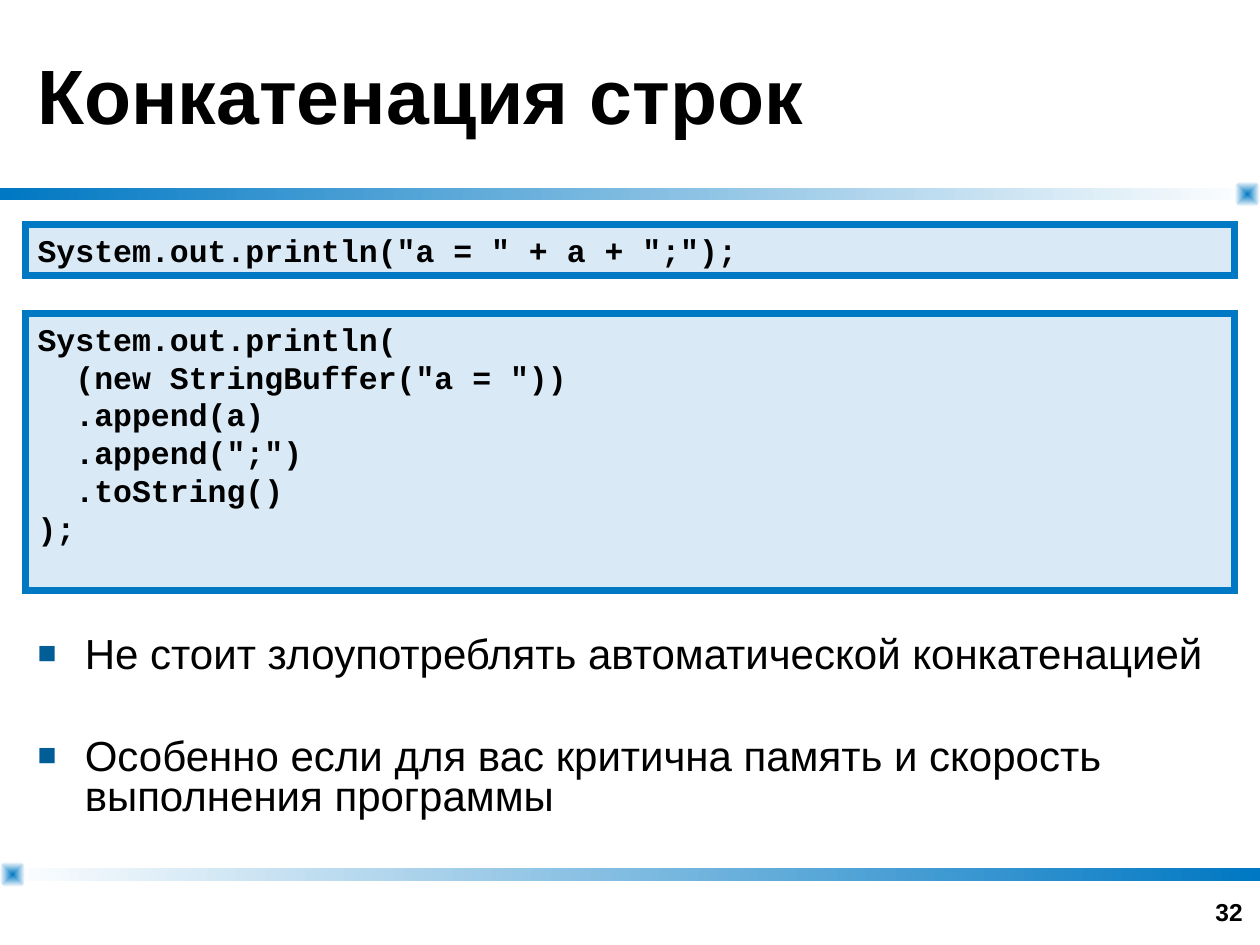
from typing import NamedTuple

from lxml import etree
from pptx import Presentation
from pptx import util as u
from pptx.dml.color import RGBColor
from pptx.enum import shapes, text
from pptx.oxml import ns

BLUE = "0078C3"
WHITE = "FFFFFF"
BLACK = "000000"
BULLET_BLUE = "005D96"


class Box(NamedTuple):
    left: float
    top: float
    width: float
    height: float

    def lengths(self) -> list:
        return [u.Pt(value) for value in self]


class Rule(NamedTuple):
    bar_top: float
    start: str
    end: str
    knob_left: float


class CodeBlock(NamedTuple):
    box: Box
    lines: list


SLIDE_WIDTH, SLIDE_HEIGHT = 720, 540
MARGIN = 14.4
CONTENT_WIDTH = SLIDE_WIDTH - 2 * MARGIN
BAR_HEIGHT = 7.2
KNOB_SIZE = 14.4

RULES = [
    Rule(107.28, BLUE, WHITE, SLIDE_WIDTH - KNOB_SIZE),
    Rule(496.08, WHITE, BLUE, 0),
]
CODE_BLOCKS = [
    CodeBlock(Box(MARGIN, 128.2, CONTENT_WIDTH, 29),
              ['System.out.println("a = " + a + ";");']),
    CodeBlock(Box(MARGIN, 179.2, CONTENT_WIDTH, 158.5), [
        "System.out.println(",
        '  (new StringBuffer("a = "))',
        "  .append(a)",
        '  .append(";")',
        "  .toString()",
        ");",
    ]),
]
BULLETS = [
    "Не стоит злоупотреблять автоматической конкатенацией",
    "Особенно если для вас критична память и скорость выполнения программы",
]


def colour(value: str) -> RGBColor:
    return RGBColor.from_string(value)


def add_child(parent, tag: str, **attributes: str):
    return etree.SubElement(parent, ns.qn(tag), attributes)


def add_gradient(slide, kind, box: Box, start: str, end: str):
    shape = slide.shapes.add_shape(kind, *box.lengths())
    shape.shadow.inherit = False
    shape.line.fill.background()
    shape.fill.gradient()
    shape.fill.gradient_angle = 0
    for stop, value in zip(shape.fill.gradient_stops, (start, end)):
        stop.color.rgb = colour(value)
    return shape


def add_rule(slide, rule: Rule) -> None:
    add_gradient(slide, shapes.MSO_SHAPE.RECTANGLE,
                 Box(0, rule.bar_top, SLIDE_WIDTH, BAR_HEIGHT), rule.start, rule.end)
    knob_top = rule.bar_top + (BAR_HEIGHT - KNOB_SIZE) / 2
    knob = add_gradient(slide, shapes.MSO_SHAPE.ROUNDED_RECTANGLE,
                        Box(rule.knob_left, knob_top, KNOB_SIZE, KNOB_SIZE), BLUE, WHITE)
    knob.adjustments[0] = 0.32
    linear = next(knob._element.spPr.iter(ns.qn("a:lin")))
    gradient = linear.getparent()
    gradient.remove(linear)
    centre = add_child(gradient, "a:path", path="rect")
    add_child(centre, "a:fillToRect", l="50000", t="50000", r="50000", b="50000")


def write_lines(shape, lines: list, font_name: str, size: float, bold: bool,
                anchor=text.MSO_ANCHOR.TOP, alignment=text.PP_ALIGN.LEFT) -> list:
    frame = shape.text_frame
    frame.word_wrap = True
    frame.vertical_anchor = anchor
    frame.text = "\n".join(lines)
    for paragraph in frame.paragraphs:
        paragraph.alignment = alignment
        paragraph.font.name = font_name
        paragraph.font.size = u.Pt(size)
        paragraph.font.bold = bold
        paragraph.font.color.rgb = colour(BLACK)
    return list(frame.paragraphs)


def add_code(slide, block: CodeBlock) -> None:
    shape = slide.shapes.add_shape(shapes.MSO_SHAPE.RECTANGLE, *block.box.lengths())
    shape.shadow.inherit = False
    shape.fill.solid()
    shape.fill.fore_color.rgb = colour(BLUE)
    fill_colour = next(shape._element.spPr.iter(ns.qn("a:srgbClr")))
    add_child(fill_colour, "a:alpha", val="15000")
    shape.line.color.rgb = colour(BLUE)
    shape.line.width = u.Pt(4)
    add_child(shape.line._get_or_add_ln(), "a:miter", lim="800000")
    write_lines(shape, block.lines, "Courier New", 18, True)


def add_bullets(slide, box: Box, items: list) -> None:
    shape = slide.shapes.add_textbox(*box.lengths())
    frame = shape.text_frame
    frame.text = "\n".join(items)
    for index, paragraph in enumerate(frame.paragraphs):
        paragraph.line_spacing = 0.8
        if index:
            paragraph.space_before = u.Pt(35)
        properties = paragraph._p.get_or_add_pPr()
        properties.set("marL", str(u.Pt(27)))
        properties.set("indent", str(u.Pt(-27)))
        bullet_colour = add_child(properties, "a:buClr")
        add_child(bullet_colour, "a:srgbClr", val=BULLET_BLUE)
        add_child(properties, "a:buSzPct", val="75000")
        add_child(properties, "a:buFont", typeface="Arial")
        add_child(properties, "a:buChar", char="■")
        paragraph.font.name = "Arial"
        paragraph.font.size = u.Pt(24)
        paragraph.font.color.rgb = colour(BLACK)
    frame.word_wrap = True


def main() -> None:
    presentation = Presentation()
    presentation.slide_width = u.Pt(SLIDE_WIDTH)
    presentation.slide_height = u.Pt(SLIDE_HEIGHT)
    slide = presentation.slides.add_slide(presentation.slide_layouts[6])

    for rule in RULES:
        add_rule(slide, rule)

    number = slide.shapes.add_textbox(*Box(549.4, 496.8, 167.8, 36).lengths())
    write_lines(number, ["32"], "Arial", 14, True,
                text.MSO_ANCHOR.BOTTOM, text.PP_ALIGN.RIGHT)
    title = slide.shapes.add_textbox(*Box(MARGIN, 0, CONTENT_WIDTH, 107.28).lengths())
    write_lines(title, ["Конкатенация строк"], "Arial", 44, True, text.MSO_ANCHOR.MIDDLE)

    for block in CODE_BLOCKS:
        add_code(slide, block)
    add_bullets(slide, Box(MARGIN, 360.7, CONTENT_WIDTH, 121), BULLETS)

    presentation.save("out.pptx")


if __name__ == "__main__":
    main()
